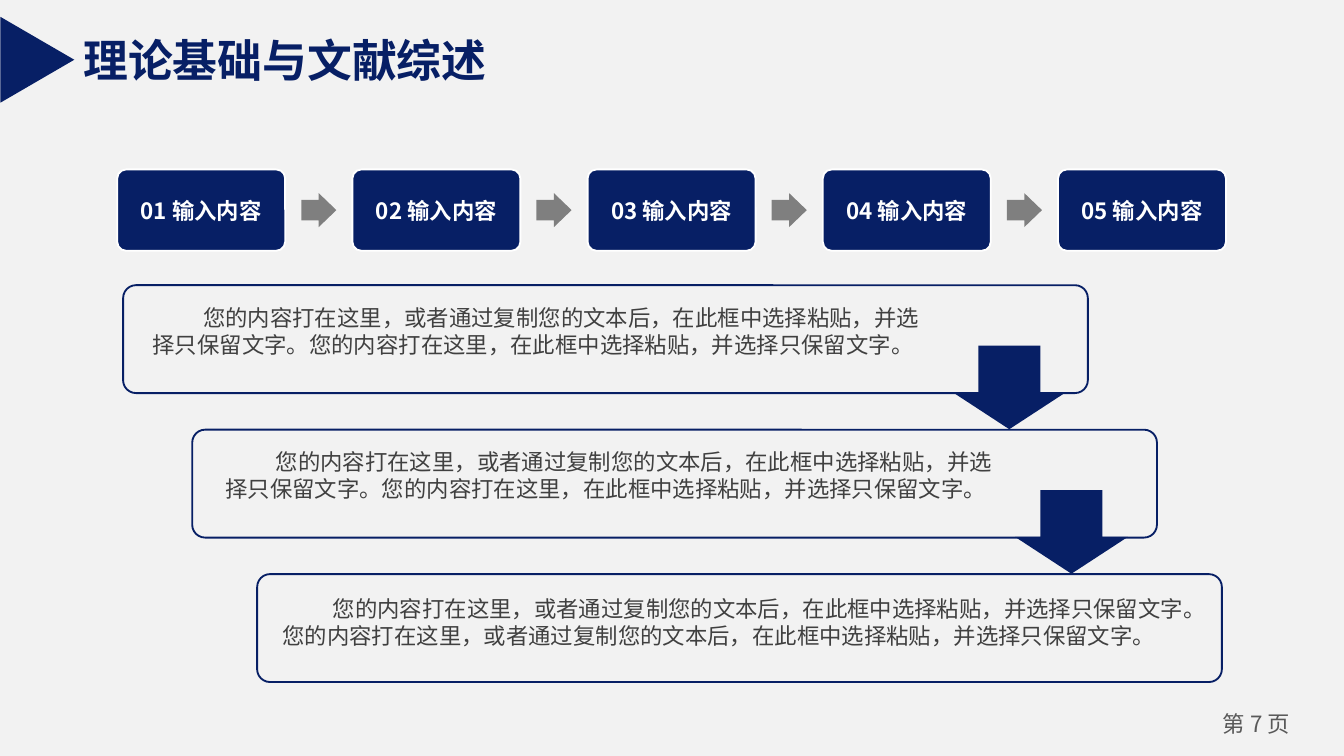
from lxml import etree
from pptx import Presentation
from pptx.dml.color import RGBColor
from pptx.enum import shapes, text
from pptx.oxml.ns import qn
from pptx.util import Pt

NAVY, GREY, PAPER, WHITE = "071F65", "7F7F7F", "F2F2F2", "FFFFFF"
BODY, FOOT = "404040", "595959"
CJK = "Noto Sans CJK SC"
SHAPE = shapes.MSO_SHAPE
LEFT, CENTER = text.PP_ALIGN.LEFT, text.PP_ALIGN.CENTER
TOP, MIDDLE = text.MSO_ANCHOR.TOP, text.MSO_ANCHOR.MIDDLE

OPENING = "您的内容打在这里，或者通过复制您的文本后，在此框中选择粘贴，并选择只保留文字。"
SHORT = OPENING + "您的内容打在这里，在此框中选择粘贴，并选择只保留文字。"
LONG = OPENING + OPENING


def rgb(value):
    """Turn a hex string into a colour."""
    return RGBColor.from_string(value)


def add_shape(s, kind, box, fill, line=None, adj=()):
    """Add a flat preset shape in a box given in points."""
    sp = s.shapes.add_shape(kind, *map(Pt, box))
    sp.shadow.inherit = False
    sp.fill.solid()
    sp.fill.fore_color.rgb = rgb(fill)
    if line:
        sp.line.color.rgb = rgb(line)
        sp.line.width = Pt(1)
    else:
        sp.line.fill.background()
    for i, value in enumerate(adj):
        sp.adjustments[i] = value
    return sp


def write(sp, content, color, size=12, bold=False, align=LEFT, anchor=TOP,
          font=CJK, margins=(7.2, 3.6), indent=0, wrap=True):
    """Write one formatted paragraph into a shape."""
    tf = sp.text_frame
    tf.word_wrap = wrap
    tf.auto_size = text.MSO_AUTO_SIZE.NONE
    tf.vertical_anchor = anchor
    tf.margin_left = tf.margin_right = Pt(margins[0])
    tf.margin_top = tf.margin_bottom = Pt(margins[1])
    p = tf.paragraphs[0]
    p.alignment = align
    p.space_before = Pt(0)
    if indent:
        pPr = p._p.get_or_add_pPr()
        pPr.set("marL", "0")
        pPr.set("indent", str(Pt(indent)))
    r = p.add_run()
    r.text = content
    r.font.name = font
    r.font.size = Pt(size)
    r.font.bold = bold
    r.font.color.rgb = rgb(color)
    ea = etree.SubElement(r._r.get_or_add_rPr(), qn("a:ea"))
    ea.set("typeface", CJK)


def add_header(s, x, y, w, h):
    """Place the slide title and the triangle at its left."""
    title = s.shapes.title
    title.left, title.top, title.width, title.height = map(Pt, (x, y, w, h))
    write(title, "理论基础与文献综述", NAVY, 24, True, font="Arial", wrap=False)
    marker = add_shape(s, SHAPE.ISOSCELES_TRIANGLE,
                       (x - 40.4, y - 1.5, 46, 39.6), NAVY)
    marker.rotation = 90


def add_steps(s, x, y, w, h, count=5, step_w=90):
    """Spread numbered steps over the width, with an arrow in each gap."""
    pitch = (w - step_w) / (count - 1)
    arrow_w, arrow_h = 18.8, 18.2
    for i in range(count):
        left = x + i * pitch
        step = add_shape(s, SHAPE.ROUNDED_RECTANGLE, (left, y, step_w, h),
                         NAVY, WHITE, [0.11])
        write(step, f"{i + 1:02d} 输入内容", WHITE, bold=True, align=CENTER,
              anchor=MIDDLE, margins=(0, 0))
        if i < count - 1:
            gap = pitch - step_w
            box = (left + step_w + (gap - arrow_w) / 2, y + (h - arrow_h) / 2,
                   arrow_w, arrow_h)
            add_shape(s, SHAPE.RIGHT_ARROW, box, GREY, adj=[0.6, 0.52])


def add_panel(s, x, y, w, h, content, dx, dy, text_w):
    """Place an outlined panel with its indented text."""
    add_shape(s, SHAPE.ROUNDED_RECTANGLE, (x, y, w, h), PAPER, NAVY, [0.119])
    tb = s.shapes.add_textbox(*map(Pt, (x + dx, y + dy, text_w, 34)))
    write(tb, content, BODY, indent=27)


def add_cascade(s, x, y, w, h, pitch=77.4):
    """Stack the stepped panels and the arrows that lead down."""
    panels = [(0, SHORT, 8.7, 6.5, 427.7), (37, SHORT, 10.6, 6.5, 426.2),
              (71.8, LONG, 6.4, 7.9, 501.2)]
    for i, (shift, content, dx, dy, text_w) in enumerate(panels):
        add_panel(s, x + shift, y + i * pitch, w, h, content, dx, dy, text_w)
    for i in range(len(panels) - 1):
        box = (x + 444.5 + i * 33.3, y + (i + 1) * pitch - 45, 60.4, 44.8)
        add_shape(s, SHAPE.DOWN_ARROW, box, NAVY, adj=[0.55, 0.44])


def add_page_number(s, x, y, w, h):
    """Place the page number."""
    tb = s.shapes.add_textbox(*map(Pt, (x, y, w, h)))
    write(tb, "第 7 页", FOOT, align=CENTER, margins=(5, 3))


def main():
    """Build and save the slide."""
    prs = Presentation()
    prs.slide_width, prs.slide_height = Pt(720), Pt(405)
    s = prs.slides.add_slide(prs.slide_layouts[5])
    s.background.fill.solid()
    s.background.fill.fore_color.rgb = rgb(PAPER)
    add_page_number(s, 640.8, 377.3, 64.8, 21.6)
    add_cascade(s, 66, 152.8, 516.8, 57.8)
    add_steps(s, 62.8, 90.8, 594, 43.6)
    add_header(s, 37.4, 13.7, 232.6, 36)
    prs.save("out.pptx")


if __name__ == "__main__":
    main()
